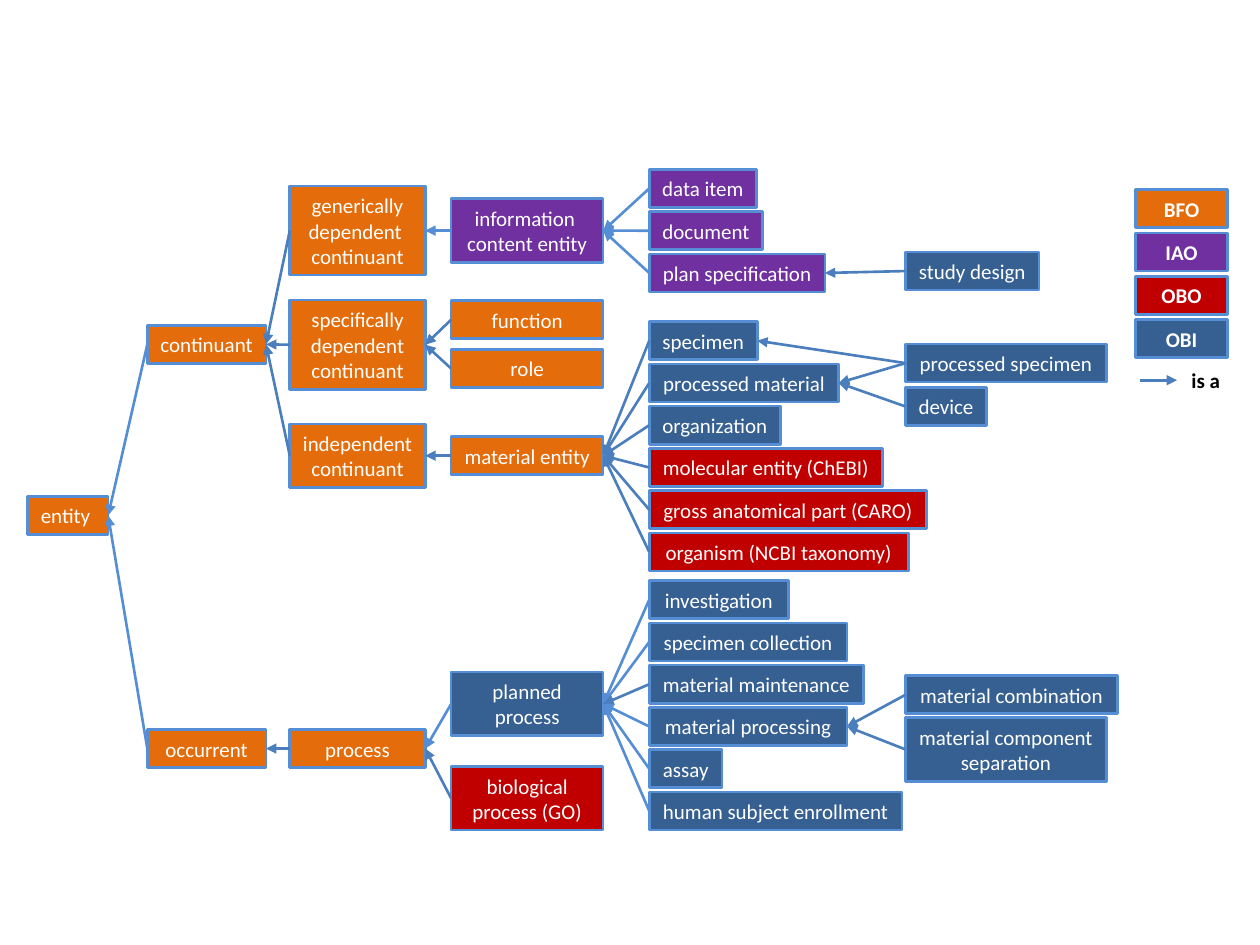
"""Draw a tree of ontology terms, with a colour key."""
from dataclasses import dataclass

from lxml.etree import SubElement
from pptx import Presentation
from pptx.dml.color import RGBColor
from pptx.enum.shapes import MSO_CONNECTOR as Link, MSO_SHAPE as Form
from pptx.enum.text import MSO_ANCHOR as Anchor, MSO_AUTO_SIZE as Fit, PP_ALIGN as Align
from pptx.oxml.ns import qn
from pptx.shapes.autoshape import Shape
from pptx.shapes.connector import Connector
from pptx.shapes.shapetree import SlideShapes
from pptx.util import Pt

ORANGE = RGBColor(0xE4, 0x6C, 0x0A)
PURPLE = RGBColor(0x70, 0x30, 0xA0)
RED = RGBColor(0xC0, 0x00, 0x00)
BLUE = RGBColor(0x37, 0x60, 0x92)
LIGHT = RGBColor(0x55, 0x8E, 0xD5)
DARK = RGBColor(0x4B, 0x7E, 0xBC)
WHITE = RGBColor(0xFF, 0xFF, 0xFF)
BLACK = RGBColor(0x00, 0x00, 0x00)

PAD = 7.25
LEAD = 14.55
STEP = 24.15
KEY_STEP = 24.8
COLS = (15.8, 84.2, 165.6, 257.8, 371, 517.5)


@dataclass(frozen=True)
class Term:
    """A box: its text, fill, column, middle height, width and arrow colour."""
    text: str
    fill: RGBColor
    col: int
    mid: float
    width: float
    hue: RGBColor = DARK


@dataclass(frozen=True)
class Leaf:
    """One box in a stack of evenly spaced boxes."""
    text: str
    fill: RGBColor
    width: float
    hue: RGBColor = DARK


def write(shape: Shape, text: str, color: RGBColor, bold: bool = False) -> None:
    """Put each line of text in its own paragraph."""
    frame = shape.text_frame
    frame.word_wrap = False
    frame.auto_size = Fit.NONE
    frame.vertical_anchor = Anchor.MIDDLE
    for i, line in enumerate(text.split("\n")):
        para = frame.add_paragraph() if i else frame.paragraphs[0]
        para.alignment = Align.CENTER
        run = para.add_run()
        run.text = line
        run.font.name = "Calibri"
        run.font.size = Pt(12)
        run.font.bold = bold
        run.font.color.rgb = color


def add_box(shapes: SlideShapes, text: str, fill: RGBColor, left: float,
            mid: float, width: float, bold: bool = False) -> Shape:
    """Add a box as tall as its lines of text, centred on mid."""
    tall = PAD + LEAD * (text.count("\n") + 1)
    box = shapes.add_shape(Form.RECTANGLE, Pt(left), Pt(mid - tall / 2), Pt(width), Pt(tall))
    box.shadow.inherit = False
    box.fill.solid()
    box.fill.fore_color.rgb = fill
    box.line.color.rgb = LIGHT
    box.line.width = Pt(1.5)
    write(box, text, WHITE, bold)
    return box


def add_arrow(shapes: SlideShapes, hue: RGBColor, x: float = 0, y: float = 0,
              end: float = 0) -> Connector:
    """Add a level arrow from x to end."""
    arrow = shapes.add_connector(Link.STRAIGHT, Pt(x), Pt(y), Pt(end), Pt(y))
    arrow.line.color.rgb = hue
    arrow.line.width = Pt(1.5)
    SubElement(arrow.line._get_or_add_ln(), qn("a:tailEnd"), type="triangle")
    SubElement(arrow._element.spPr, qn("a:effectLst"))
    return arrow


def add_term(shapes: SlideShapes, term: Term, *above: Shape) -> Shape:
    """Add a term and an arrow to each term above it."""
    box = add_box(shapes, term.text, term.fill, COLS[term.col], term.mid, term.width)
    for top in above:
        arrow = add_arrow(shapes, term.hue)
        arrow.begin_connect(box, 1)
        arrow.end_connect(top, 3)
    return box


def add_stack(shapes: SlideShapes, top: Shape, mid: float, *stack: Leaf) -> list[Shape]:
    """Add evenly spaced terms below one another, each joined to top."""
    return [add_term(shapes, Term(leaf.text, leaf.fill, 4, mid + STEP * i, leaf.width, leaf.hue), top)
            for i, leaf in enumerate(stack)]


def add_key(shapes: SlideShapes) -> None:
    """Add the colour key."""
    for i, (name, fill) in enumerate((("BFO", ORANGE), ("IAO", PURPLE), ("OBO", RED), ("OBI", BLUE))):
        add_box(shapes, name, fill, 648.9, 119.2 + KEY_STEP * i, 52.6, True)
    add_arrow(shapes, DARK, 651.6, 217.3, 672.6)
    label = shapes.add_textbox(Pt(673.2), Pt(206.3), Pt(31.7), Pt(21.8))
    write(label, "is a", BLACK, True)


def add_tree(shapes: SlideShapes) -> None:
    """Add all terms, from the root to the leaves."""
    root = add_term(shapes, Term("entity ", ORANGE, 0, 294.6, 46))
    cont = add_term(shapes, Term("continuant", ORANGE, 1, 196.8, 67.8, LIGHT), root)
    occur = add_term(shapes, Term("occurrent", ORANGE, 1, 427.8, 67.8, LIGHT), root)

    gen = add_term(shapes, Term("generically\ndependent \ncontinuant", ORANGE, 2, 131.8, 77.4), cont)
    spec_dep = add_term(shapes, Term("specifically\ndependent\ncontinuant", ORANGE, 2, 197, 77.4), cont)
    free = add_term(shapes, Term("independent\ncontinuant", ORANGE, 2, 260.4, 77.4), cont)
    process = add_term(shapes, Term("process", ORANGE, 2, 427.8, 77.4), occur)

    info = add_term(shapes, Term("information \ncontent entity", PURPLE, 3, 131.8, 86.9, LIGHT), gen)
    add_term(shapes, Term("function", ORANGE, 3, 182.7, 86.9), spec_dep)
    add_term(shapes, Term("role", ORANGE, 3, 210.6, 86.9), spec_dep)
    matter = add_term(shapes, Term("material entity", ORANGE, 3, 260.4, 86.9), free)
    plan = add_term(shapes, Term("planned\nprocess", BLUE, 3, 402.3, 86.9, LIGHT), process)
    add_term(shapes, Term("biological\nprocess (GO)", RED, 3, 456.2, 86.9), process)

    facts = add_stack(
        shapes, info, 107.7,
        Leaf("data item", PURPLE, 61.4, LIGHT),
        Leaf("document", PURPLE, 64.9, LIGHT),
        Leaf("plan specification", PURPLE, 100.4, LIGHT))
    things = add_stack(
        shapes, matter, 194.7,
        Leaf("specimen", BLUE, 61.7),
        Leaf("processed material", BLUE, 108.3),
        Leaf("organization", BLUE, 75),
        Leaf("molecular entity (ChEBI)", RED, 133.3),
        Leaf("gross anatomical part (CARO)", RED, 158.6),
        Leaf("organism (NCBI taxonomy)", RED, 148))
    acts = add_stack(
        shapes, plan, 342.7,
        Leaf("investigation", BLUE, 79.5, LIGHT),
        Leaf("specimen collection", BLUE, 113, LIGHT),
        Leaf("material maintenance", BLUE, 122.5),
        Leaf("material processing", BLUE, 113, LIGHT),
        Leaf("assay", BLUE, 41.7, LIGHT),
        Leaf("human subject enrollment", BLUE, 144.5, LIGHT))

    add_term(shapes, Term("study design", BLUE, 5, 154.9, 76.3), facts[2])
    add_term(shapes, Term("processed specimen", BLUE, 5, 207.5, 114.7), *things[:2])
    add_term(shapes, Term("device", BLUE, 5, 232.3, 46.2), things[1])
    add_term(shapes, Term("material combination", BLUE, 5, 397, 121), acts[3])
    add_term(shapes, Term("material component\nseparation", BLUE, 5, 428.3, 114.7), acts[3])


def main() -> None:
    """Build and save the slide."""
    deck = Presentation()
    deck.slide_width, deck.slide_height = Pt(720), Pt(540)
    shapes = deck.slides.add_slide(deck.slide_layouts[6]).shapes
    add_key(shapes)
    add_tree(shapes)
    deck.save("out.pptx")


if __name__ == "__main__":
    main()
